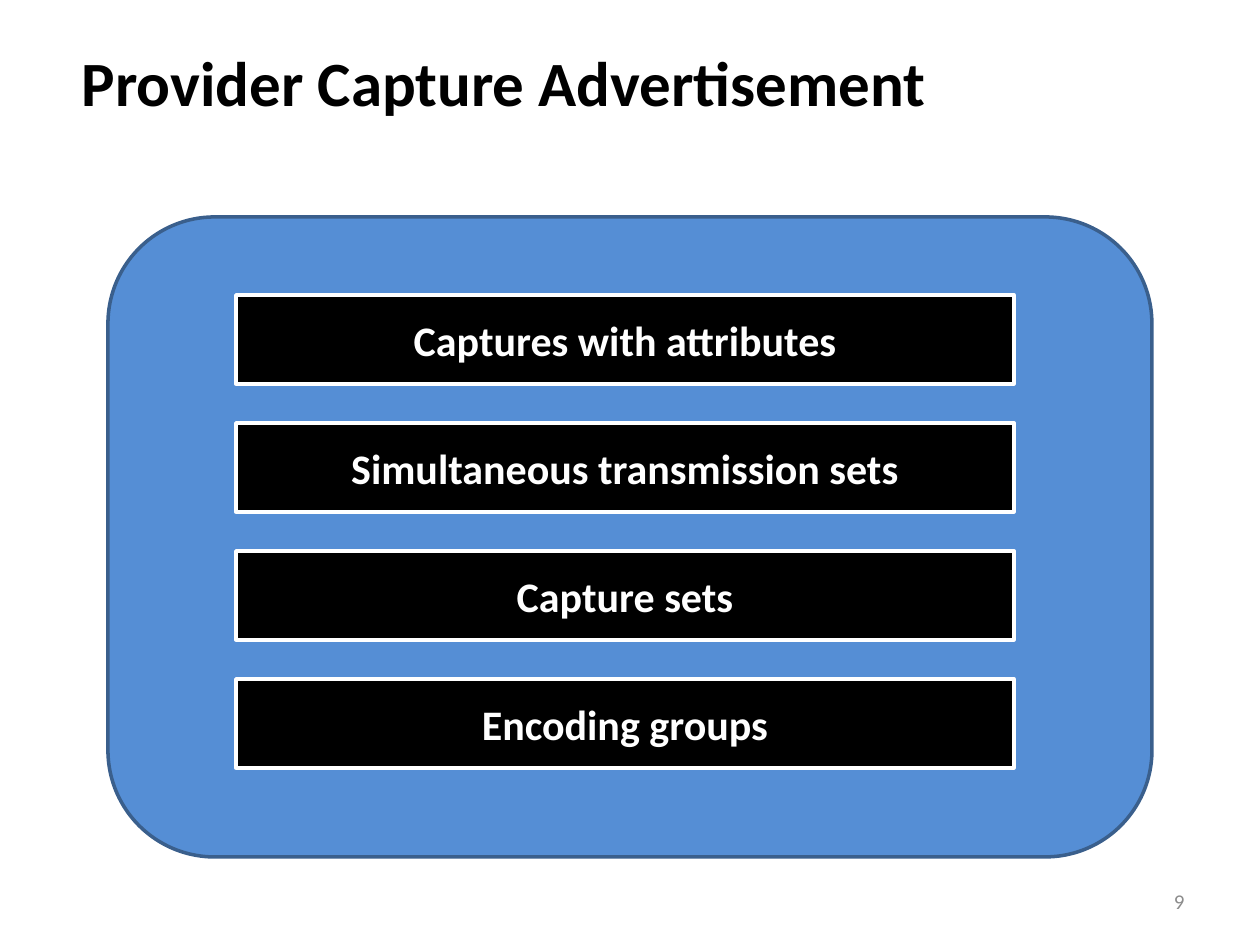
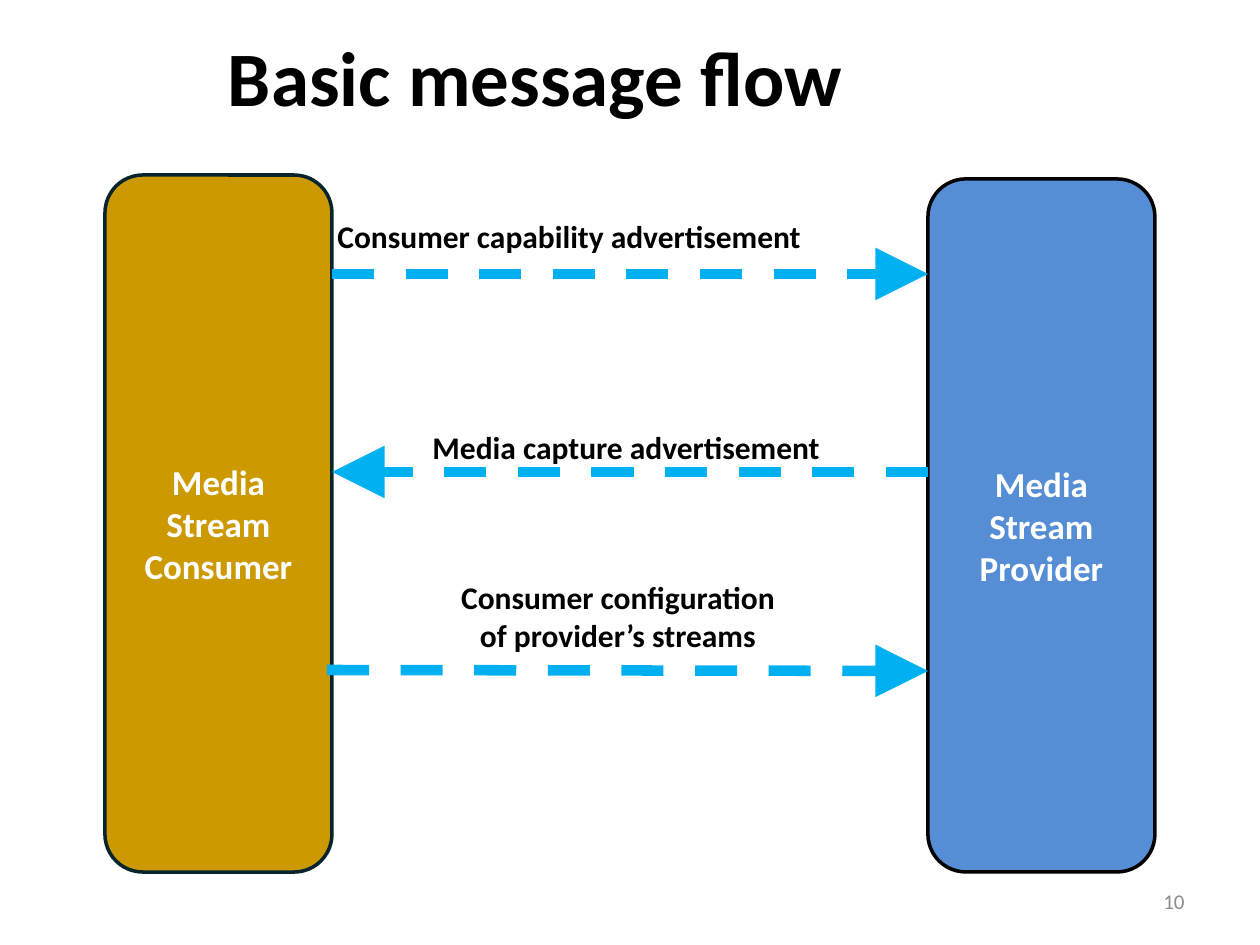
from dataclasses import dataclass
from typing import Any

from lxml.etree import SubElement
from pptx import Presentation
from pptx.dml.color import RGBColor
from pptx.enum.dml import MSO_LINE
from pptx.enum.shapes import MSO_CONNECTOR, MSO_SHAPE
from pptx.enum.text import MSO_ANCHOR, PP_ALIGN
from pptx.oxml.ns import qn
from pptx.util import Emu, Pt

EMU_PER_PX = 914400 / 126
FONT = "Calibri"
BLACK, WHITE, BLUE = "000000", "FFFFFF", "558ED5"
GOLD, SKY, GREY = "CC9900", "00B0F0", "8C8C8C"
DARK_BLUE, DARK_TEAL = "3A5F8C", "08252E"

TITLE = {"color": BLACK, "align": PP_ALIGN.CENTER}
BAR = {"size": 24, "color": WHITE, "align": PP_ALIGN.CENTER}
ROLE = BAR | {"size": 20}
LABEL = {"size": 18, "color": BLACK}
NUMBER = {"size": 12, "color": GREY, "bold": False, "align": PP_ALIGN.RIGHT}


@dataclass(frozen=True)
class Box:
    left: int
    top: int
    width: int
    height: int

    def emu(self) -> tuple[Emu, ...]:
        return tuple(px(n) for n in (self.left, self.top, self.width, self.height))


@dataclass(frozen=True)
class Panel:
    box: Box
    fill: str
    outline: str
    kind: MSO_SHAPE = MSO_SHAPE.ROUNDED_RECTANGLE
    text: str = ""
    style: Any = None


@dataclass(frozen=True)
class Message:
    text: str
    label_box: Box
    start: tuple[int, int]
    end: tuple[int, int]
    align: PP_ALIGN = PP_ALIGN.LEFT


def px(length: int) -> Emu:
    return Emu(round(length * EMU_PER_PX))


def rgb(color: str) -> RGBColor:
    return RGBColor.from_string(color)


def apply(target: Any, values: dict[str, Any]) -> None:
    for name, value in values.items():
        setattr(target, name, value)


def write(shape: Any, text: str, size: int, color: str, bold: bool = True,
          align: PP_ALIGN = PP_ALIGN.LEFT, anchor: MSO_ANCHOR = MSO_ANCHOR.MIDDLE) -> None:
    frame = shape.text_frame
    frame.text = text
    apply(frame, {"word_wrap": True, "vertical_anchor": anchor})
    for paragraph in frame.paragraphs:
        paragraph.alignment = align
        apply(paragraph.font, {"name": FONT, "size": Pt(size), "bold": bold})
        paragraph.font.color.rgb = rgb(color)


def add_text(slide: Any, box: Box, text: str, **style: Any) -> None:
    write(slide.shapes.add_textbox(*box.emu()), text, **style)


def add_panel(slide: Any, panel: Panel) -> None:
    shape = slide.shapes.add_shape(panel.kind, *panel.box.emu())
    shape.shadow.inherit = False
    shape.fill.solid()
    shape.fill.fore_color.rgb = rgb(panel.fill)
    shape.line.color.rgb = rgb(panel.outline)
    shape.line.width = Pt(2)
    if panel.text:
        write(shape, panel.text, **panel.style)


def add_message(slide: Any, message: Message) -> None:
    ends = [px(n) for n in message.start + message.end]
    arrow = slide.shapes.add_connector(MSO_CONNECTOR.STRAIGHT, *ends)
    arrow.line.color.rgb = rgb(SKY)
    apply(arrow.line, {"width": Pt(6), "dash_style": MSO_LINE.DASH})
    properties = arrow.element.spPr
    SubElement(properties.find(qn("a:ln")), qn("a:tailEnd"), type="triangle", w="lg", len="lg")
    SubElement(properties, qn("a:effectLst"))
    add_text(slide, message.label_box, message.text, **LABEL,
             align=message.align, anchor=MSO_ANCHOR.TOP)


def add_titled_slide(deck: Any, title: str, box: Box, size: int, number: int) -> Any:
    slide = deck.slides.add_slide(deck.slide_layouts[5])
    heading = slide.shapes.title
    apply(heading, dict(zip(("left", "top", "width", "height"), box.emu())))
    write(heading, title, size, **TITLE)
    add_text(slide, Box(903, 876, 294, 50), str(number), **NUMBER)
    return slide


def build_advertisement(deck: Any) -> None:
    slide = add_titled_slide(deck, "Provider Capture Advertisement", Box(0, 16, 1008, 130), 36, 9)
    add_panel(slide, Panel(Box(108, 217, 1044, 640), BLUE, DARK_BLUE))
    parts = ("Captures with attributes", "Simultaneous transmission sets",
             "Capture sets", "Encoding groups")
    for row, part in enumerate(parts):
        add_panel(slide, Panel(Box(236, 295 + 128 * row, 778, 89), BLACK, WHITE,
                               MSO_SHAPE.RECTANGLE, part, BAR))


def build_message_flow(deck: Any) -> None:
    slide = add_titled_slide(deck, "Basic message flow", Box(63, 16, 945, 120), 44, 10)
    consumer, provider = Box(105, 175, 227, 697), Box(928, 179, 227, 693)
    add_panel(slide, Panel(consumer, GOLD, DARK_TEAL, text="Media Stream Consumer", style=ROLE))
    add_panel(slide, Panel(provider, BLUE, BLACK, text="Media Stream Provider", style=ROLE))
    consumer_edge, provider_edge = consumer.left + consumer.width, provider.left
    messages = (
        Message("Consumer capability advertisement", Box(325, 211, 568, 53),
                (consumer_edge, 274), (provider_edge, 274)),
        Message("Media capture advertisement", Box(420, 422, 473, 50),
                (provider_edge, 472), (consumer_edge, 472)),
        Message("Consumer configuration\nof provider’s streams", Box(368, 572, 500, 90),
                (consumer_edge - 5, 670), (provider_edge, 671), PP_ALIGN.CENTER),
    )
    for message in messages:
        add_message(slide, message)


def main() -> None:
    deck = Presentation()
    apply(deck, {"slide_width": px(1260), "slide_height": px(945)})
    build_advertisement(deck)
    build_message_flow(deck)
    deck.save("out.pptx")


if __name__ == "__main__":
    main()
